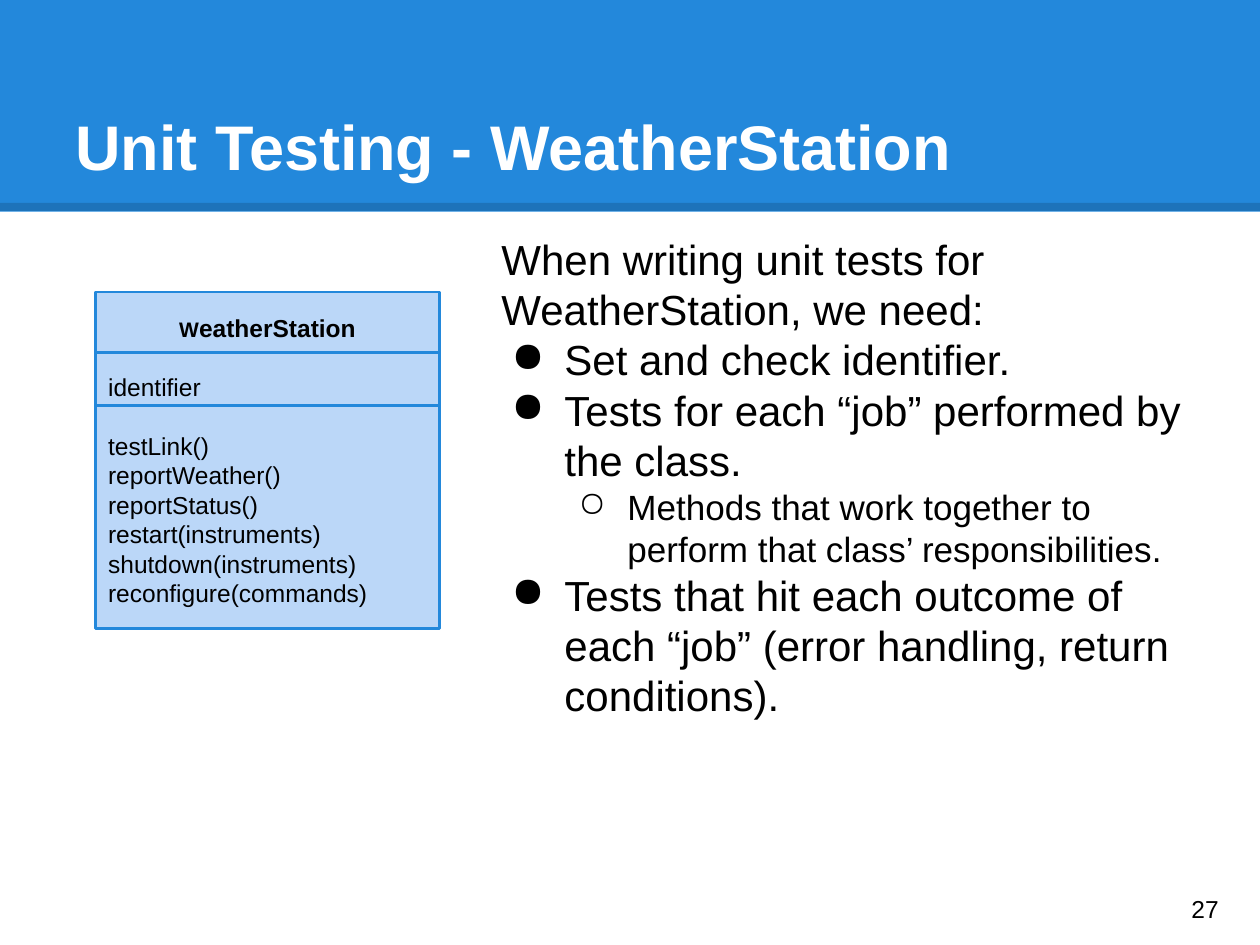
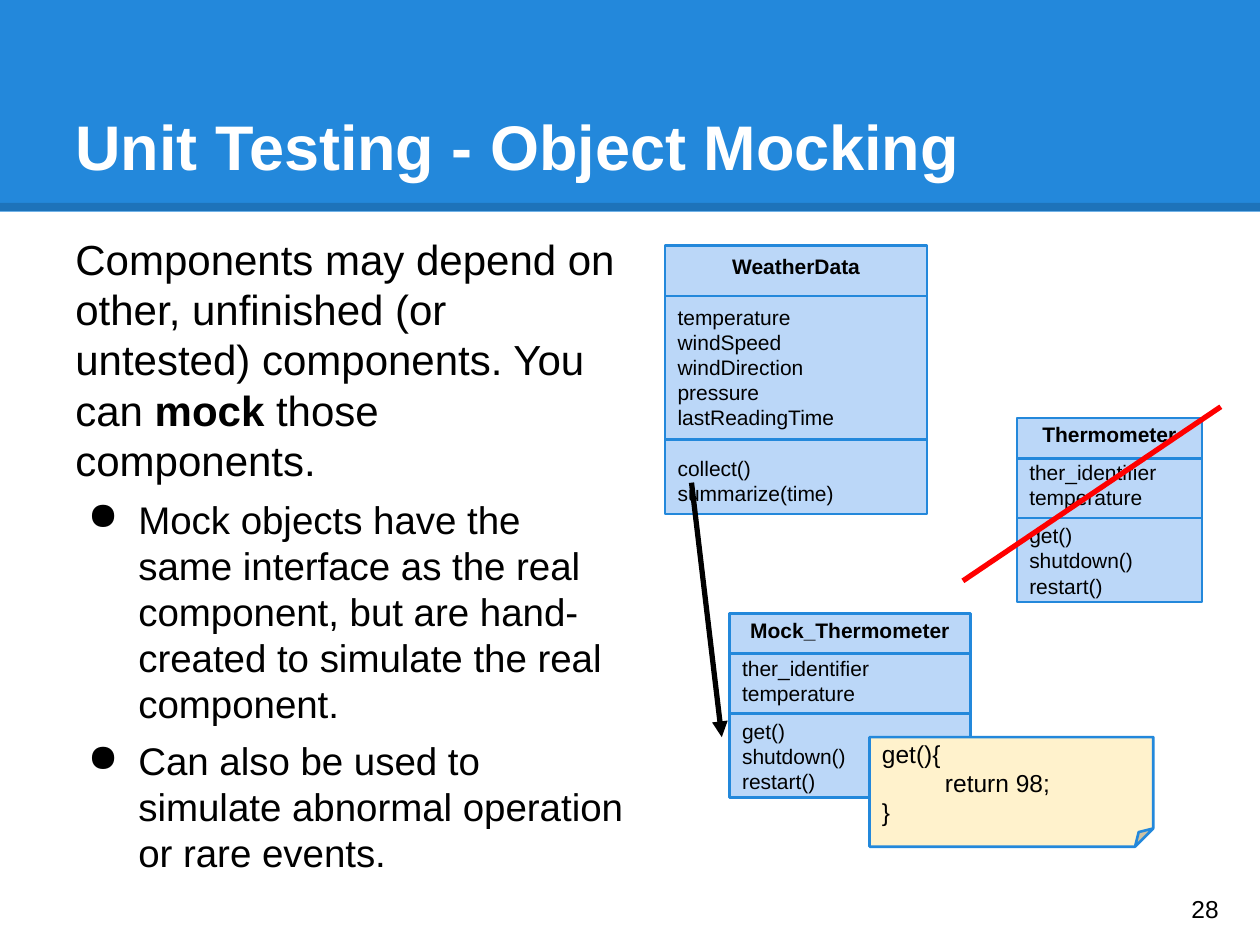
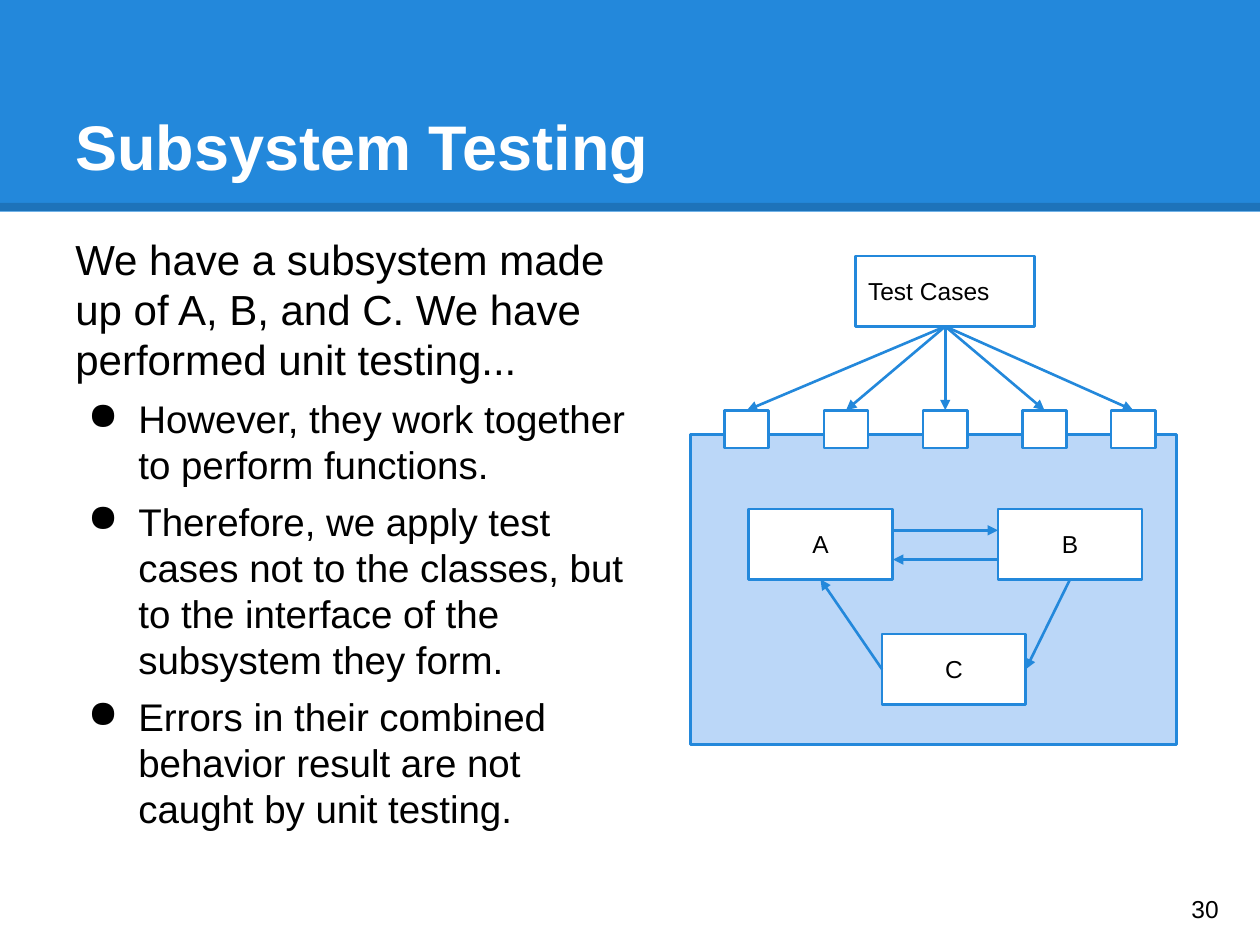
from lxml import etree
from pptx import Presentation
from pptx.dml.color import RGBColor
from pptx.enum.shapes import MSO_CONNECTOR, MSO_SHAPE
from pptx.enum.text import MSO_ANCHOR, PP_ALIGN
from pptx.oxml.ns import qn
from pptx.util import Cm, Pt

BLUE = RGBColor(0x23, 0x88, 0xDB)
PALE_BLUE = RGBColor(0xBB, 0xD7, 0xF8)
CREAM = RGBColor(0xFF, 0xF2, 0xCC)
RED = RGBColor(0xFF, 0x00, 0x00)
BLACK = RGBColor(0x00, 0x00, 0x00)
WHITE = RGBColor(0xFF, 0xFF, 0xFF)

RECT, NOTE = MSO_SHAPE.RECTANGLE, MSO_SHAPE.FOLDED_CORNER
STRAIGHT = MSO_CONNECTOR.STRAIGHT
TOP, MIDDLE, BOTTOM = MSO_ANCHOR.TOP, MSO_ANCHOR.MIDDLE, MSO_ANCHOR.BOTTOM
LEFT, CENTER = PP_ALIGN.LEFT, PP_ALIGN.CENTER
SIDE_TOP, SIDE_LEFT, SIDE_BOTTOM, SIDE_RIGHT = range(4)

FONT = "Arial"
LINE_FACTOR = 1.2
INSET = Cm(0.25)
TITLE_ONLY = 5

# size, bullet character, left indent, hanging indent
LEAD = dict(size=24)
LARGE_BULLET = dict(size=24, bullet="●", left=1.27, hang=1.07)
BULLET = dict(size=22, bullet="●", left=1.27, hang=1.02)
SUB_BULLET = dict(size=20, bullet="○", left=2.54, hang=0.99)


def set_attrs(obj, values):
    for name, value in values.items():
        setattr(obj, name, value)


def setup_frame(tf, anchor):
    set_attrs(tf, dict(word_wrap=True, vertical_anchor=anchor,
                       margin_left=INSET, margin_right=INSET,
                       margin_top=INSET, margin_bottom=INSET))


def add_bullet(p, char, left, hang):
    pPr = p._p.get_or_add_pPr()
    pPr.set("marL", str(Cm(left)))
    pPr.set("indent", str(-Cm(hang)))
    etree.SubElement(pPr, qn("a:buChar")).set("char", char)


def write(tf, index, runs, size, bullet=None, left=0, hang=0, before=0,
          align=LEFT, bold=False, color=BLACK):
    """Write one paragraph; runs is a string or a list of (text, font values)."""
    p = tf.paragraphs[0] if index == 0 else tf.add_paragraph()
    if bullet:
        add_bullet(p, bullet, left, hang)
    set_attrs(p, dict(alignment=align, line_spacing=Pt(size * LINE_FACTOR)))
    if index and before:
        p.space_before = Pt(before)
    for text, extra in [(runs, {})] if isinstance(runs, str) else runs:
        r = p.add_run()
        r.text = text
        set_attrs(r.font, dict(name=FONT, size=Pt(size), bold=bold) | extra)
        r.font.color.rgb = color


def add_box(s, x, y, w, h, fill=WHITE, line=BLUE, kind=RECT):
    sp = s.shapes.add_shape(kind, Cm(x), Cm(y), Cm(w), Cm(h))
    sp.shadow.inherit = False
    sp.fill.solid()
    sp.fill.fore_color.rgb = fill
    if line is None:
        sp.line.fill.background()
    else:
        sp.line.color.rgb = line
        sp.line.width = Pt(1.5)
    setup_frame(sp.text_frame, MIDDLE)
    return sp


def add_line(s, x1=0, y1=0, x2=0, y2=0, color=BLUE, width=1.5, arrow=False):
    cn = s.shapes.add_connector(STRAIGHT, Cm(x1), Cm(y1), Cm(x2), Cm(y2))
    cn.line.color.rgb = color
    cn.line.width = Pt(width)
    if arrow:
        tail = etree.SubElement(cn.line._get_or_add_ln(), qn("a:tailEnd"))
        tail.set("type", "triangle")
    etree.SubElement(cn._element.spPr, qn("a:effectLst"))
    return cn


def join(s, start, start_side, end, end_side):
    cn = add_line(s, arrow=True)
    cn.begin_connect(start, start_side)
    cn.end_connect(end, end_side)


def add_text(s, x, y, w, h, paragraphs, anchor=TOP, before=0):
    """Add a text box; paragraphs is a list of (runs, style)."""
    tf = s.shapes.add_textbox(Cm(x), Cm(y), Cm(w), Cm(h)).text_frame
    setup_frame(tf, anchor)
    for i, (runs, style) in enumerate(paragraphs):
        write(tf, i, runs, before=before, **style)


def add_body(s, x, w, paragraphs, before=0):
    add_text(s, x, 4.45, w, 13.79, paragraphs, before=before)


def add_slide(prs, title, number):
    """Add a slide with the title band, its title and the page number."""
    s = prs.slides.add_slide(prs.slide_layouts[TITLE_ONLY])
    band = add_box(s, 0, 0, 25.4, 4.27, BLUE, None)
    edge = add_line(s, 0, 4.17, 25.4, 4.17, BLACK, 4.5)
    rgb = edge._element.spPr.find(".//" + qn("a:srgbClr"))
    etree.SubElement(rgb, qn("a:alpha")).set("val", "15000")
    for i, sp in enumerate((band, edge)):
        s.shapes._spTree.insert(2 + i, sp._element)

    ph = s.shapes.title
    set_attrs(ph, dict(left=Cm(1.27), top=Cm(0.76),
                       width=Cm(22.86), height=Cm(3.18)))
    setup_frame(ph.text_frame, BOTTOM)
    write(ph.text_frame, 0, title, 36, bold=True, color=WHITE)
    add_text(s, 23.77, 17.6, 1.52, 1.45, [(str(number), dict(size=14))], MIDDLE)
    return s


def add_class(s, x, y, w, h, name, sections, dividers, size=12, gap=12):
    """Draw a class box; gap is the size of the free line above each section."""
    tf = add_box(s, x, y, w, h, PALE_BLUE).text_frame
    write(tf, 0, name, size, align=CENTER, bold=True)
    row = 0
    for members in sections:
        for i, member in enumerate(members):
            row += 1
            write(tf, row, member, size, before=0 if i else gap * LINE_FACTOR)
    for offset in dividers:
        add_line(s, x, y + offset, x + w, y + offset)


def add_label_box(s, x, y, w, text, align=CENTER):
    sp = add_box(s, x, y, w, 1.42)
    write(sp.text_frame, 0, text, 14, align=align)
    return sp


def weather_station_slide(prs):
    s = add_slide(prs, "Unit Testing - WeatherStation", 27)
    add_body(s, 9.86, 14.27, [
        ("When writing unit tests for WeatherStation, we need:", LEAD),
        ("Set and check identifier.", LARGE_BULLET),
        ("Tests for each “job” performed by the class.", LARGE_BULLET),
        ("Methods that work together to perform that class’ responsibilities.",
         SUB_BULLET),
        ("Tests that hit each outcome of each “job” (error handling, return "
         "conditions).", LARGE_BULLET),
    ])
    methods = ["testLink()", "reportWeather()", "reportStatus()",
               "restart(instruments)", "shutdown(instruments)",
               "reconfigure(commands)"]
    add_class(s, 1.93, 5.89, 6.93, 6.78,
              [("W", dict(size=Pt(12))), ("eatherStation", {})],
              [["identifier"], methods], (1.22, 2.29), size=14, gap=14)


def mocking_slide(prs):
    s = add_slide(prs, "Unit Testing - Object Mocking", 28)
    add_body(s, 1.27, 11.58, [
        ([("Components may depend on other, unfinished (or untested) "
           "components. You can ", {}),
          ("mock ", dict(bold=True)), ("those components.", {})], LEAD),
        ("Mock objects have the same interface as the real component, but are "
         "hand-created to simulate the real component.", BULLET),
        ("Can also be used to simulate abnormal operation or rare events.",
         BULLET),
    ], before=6)
    add_class(s, 13.41, 4.95, 5.28, 5.41, "WeatherData",
              [["temperature", "windSpeed", "windDirection", "pressure",
                "lastReadingTime"], ["collect()", "summarize(time)"]],
              (1.02, 3.91))
    thermometer = [["ther_identifier", "temperature"],
                   ["get()", "shutdown()", "restart()"]]
    for x, y, w, name in ((20.5, 8.43, 3.73, "Thermometer"),
                          (14.71, 12.37, 4.85, "Mock_Thermometer")):
        add_class(s, x, y, w, 3.71, name, thermometer, (0.81, 2.01), gap=6)
    add_line(s, 19.41, 11.71, 24.61, 8.2, RED, 3)
    add_line(s, 13.94, 9.73, 14.55, 14.86, BLACK, 3, arrow=True)

    note = add_box(s, 17.53, 14.86, 5.72, 2.21, CREAM, kind=NOTE)
    for i, code in enumerate(("get(){", "\treturn 98;", "}")):
        write(note.text_frame, i, code, 14)


def subsystem_slide(prs):
    s = add_slide(prs, "Subsystem Testing", 30)
    add_body(s, 1.27, 11.99, [
        ("We have a subsystem made up of A, B, and C. We have performed unit "
         "testing...", LEAD),
        ("However, they work together to perform functions.", BULLET),
        ("Therefore, we apply test cases not to the classes, but to the "
         "interface of the subsystem they form.", BULLET),
        ("Errors in their combined behavior result are not caught by unit "
         "testing.", BULLET),
    ], before=6)
    add_box(s, 13.92, 8.76, 9.8, 6.25, PALE_BLUE)
    a, b, c = (add_label_box(s, x, y, 2.9, text) for x, y, text in
               ((15.09, 10.26, "A"), (20.12, 10.26, "B"), (17.78, 12.78, "C")))
    add_line(s, 18, 10.69, 20.12, 10.69, arrow=True)
    add_line(s, 20.12, 11.28, 18, 11.28, arrow=True)
    join(s, b, SIDE_BOTTOM, c, SIDE_RIGHT)
    join(s, c, SIDE_LEFT, a, SIDE_BOTTOM)

    tests = add_label_box(s, 17.25, 5.16, 3.61, "Test Cases", LEFT)
    for x in (14.61, 16.61, 18.61, 20.61, 22.4):
        port = add_box(s, x, 8.27, 0.89, 0.76)
        join(s, tests, SIDE_BOTTOM, port, SIDE_TOP)


def main():
    prs = Presentation()
    prs.slide_width, prs.slide_height = Cm(25.4), Cm(19.05)
    weather_station_slide(prs)
    mocking_slide(prs)
    subsystem_slide(prs)
    prs.save("out.pptx")


if __name__ == "__main__":
    main()
